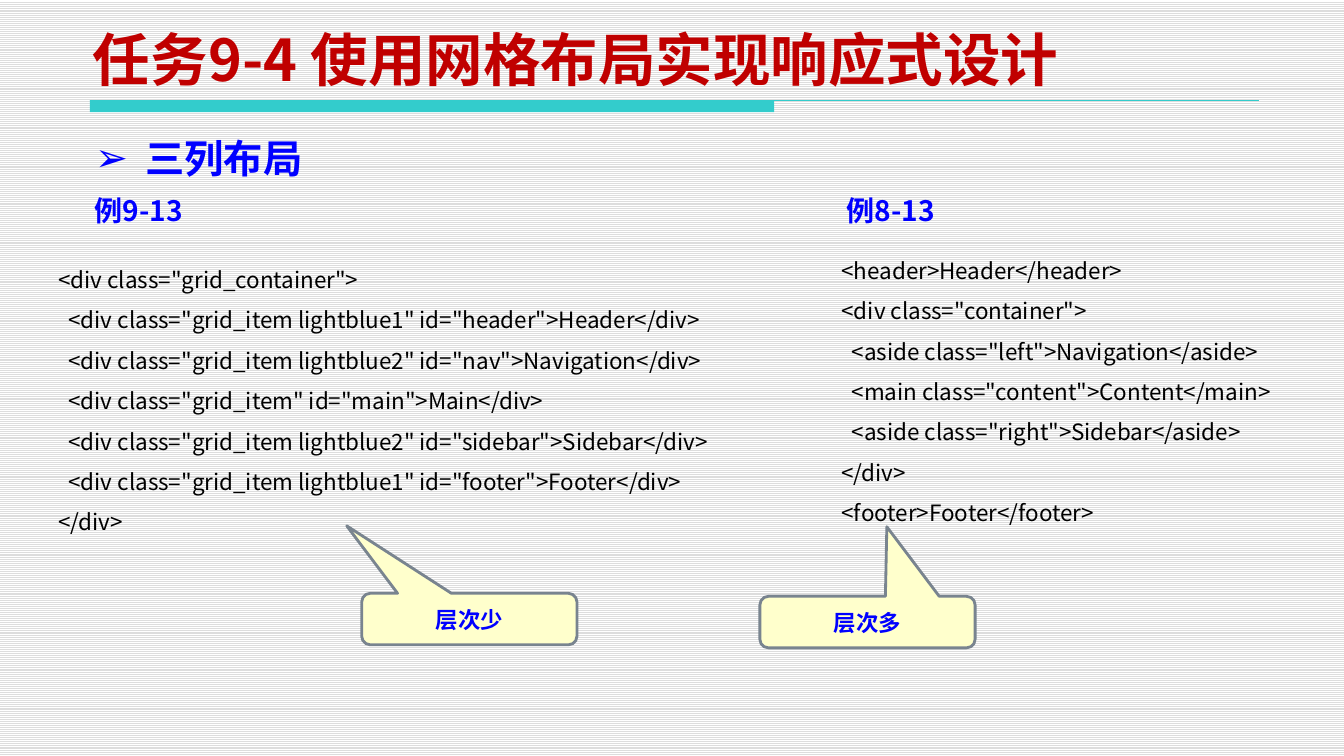
import pptx
import pptx.dml.color
import pptx.enum.dml
import pptx.enum.shapes
import pptx.enum.text
import pptx.oxml.ns
import pptx.util
import lxml.etree

COLOURS = {"title": "C00000", "accent": "0000FF", "code": "000000", "band": "33CCCC",
           "callout": "FFFFCC", "outline": "79848F", "stripe": "DDDDDD", "paper": "FFFFFF"}
FONT = "Noto Sans CJK SC"
CELL = 0.1  # inches per column and per row; the slide has 133 columns

GRID_CODE = [
    (0, '<div class="grid_container">'),
    (1, '<div class="grid_item lightblue1" id="header">Header</div>'),
    (1, '<div class="grid_item lightblue2" id="nav">Navigation</div>'),
    (1, '<div class="grid_item" id="main">Main</div>'),
    (1, '<div class="grid_item lightblue2" id="sidebar">Sidebar</div>'),
    (1, '<div class="grid_item lightblue1" id="footer">Footer</div>'),
    (0, '</div>'),
]
FLOAT_CODE = [
    (0, '<header>Header</header>'),
    (0, '<div class="container">'),
    (1, '<aside class="left">Navigation</aside>'),
    (1, '<main class="content">Content</main>'),
    (1, '<aside class="right">Sidebar</aside>'),
    (0, '</div>'),
    (0, '<footer>Footer</footer>'),
]


def cells(count):
    return pptx.util.Inches(count * CELL)


def colour(name):
    return pptx.dml.color.RGBColor.from_string(COLOURS[name])


def add_element(parent, tag, **attributes):
    return lxml.etree.SubElement(parent, pptx.oxml.ns.qn(tag), **attributes)


class Page:
    def __init__(self, deck):
        self.slide = deck.slides.add_slide(deck.slide_layouts[1])
        self.shapes = self.slide.shapes
        fill = self.slide.background.fill
        fill.patterned()
        fill.pattern = pptx.enum.dml.MSO_PATTERN.LIGHT_HORIZONTAL
        fill.fore_color.rgb = colour("stripe")
        fill.back_color.rgb = colour("paper")

    def span(self, para, text, size, ink, bold=True, font=FONT):
        run = para.add_run()
        run.text = text
        run.font.size = pptx.util.Pt(size)
        run.font.bold = bold
        run.font.color.rgb = colour(ink)
        run.font.name = font
        add_element(run.font._element, "a:ea", typeface=FONT)

    def place(self, box, left, top, width, height):
        """Move a text holder onto the grid and return its first paragraph."""
        box.left, box.top = cells(left), cells(top)
        box.width, box.height = cells(width), cells(height)
        frame = box.text_frame
        frame.word_wrap = True
        frame.auto_size = pptx.enum.text.MSO_AUTO_SIZE.NONE
        para = frame.paragraphs[0]
        para.alignment = pptx.enum.text.PP_ALIGN.LEFT
        para.space_before = pptx.util.Pt(0)
        return para

    def title(self, text, *area):
        box = self.shapes.title
        para = self.place(box, *area)
        box.text_frame.vertical_anchor = pptx.enum.text.MSO_ANCHOR.BOTTOM
        self.span(para, text, 41, "title")

    def topic(self, text, *area):
        """Fill the body placeholder with one arrow-bulleted line."""
        para = self.place(self.slide.placeholders[1], *area)
        properties = para._p.get_or_add_pPr()
        properties.set("marL", str(cells(5)))
        properties.set("indent", str(cells(-5)))
        add_element(properties, "a:buChar", char="➢")
        self.span(para, text, 28, "accent")

    def text_box(self, *area):
        box = self.shapes.add_textbox(0, 0, 0, 0)
        return box.text_frame, self.place(box, *area)

    def label(self, text, *area):
        para = self.text_box(*area)[1]
        self.span(para, text, 20, "accent")

    def code(self, lines, first_spacing, *area):
        frame, para = self.text_box(*area)
        for number, (level, text) in enumerate(lines):
            if number:
                para = frame.add_paragraph()
            para.line_spacing = 1.5 if number else first_spacing
            para._p.get_or_add_pPr().set("marL", str(cells(level)))
            self.span(para, text, 16, "code", bold=False)

    def panel(self, kind, fill, left, top, width, height):
        shape = self.shapes.add_shape(kind, cells(left), cells(top), cells(width), cells(height))
        shape.shadow.inherit = False
        shape.fill.solid()
        shape.fill.fore_color.rgb = colour(fill)
        return shape

    def title_rule(self, left, middle, right, top, thickness):
        """Draw a thick band that runs on as a thin line."""
        band = self.panel(pptx.enum.shapes.MSO_SHAPE.RECTANGLE, "band",
                          left, top, middle - left, thickness)
        band.line.fill.background()
        line = self.shapes.add_connector(pptx.enum.shapes.MSO_CONNECTOR.STRAIGHT,
                                         cells(left), cells(top), cells(right), cells(top))
        line.line.color.rgb = colour("band")
        line.line.width = pptx.util.Pt(0.75)
        add_element(line._element.spPr, "a:effectLst")

    def callout(self, text, tip, *area):
        shape = self.panel(pptx.enum.shapes.MSO_SHAPE.ROUNDED_RECTANGULAR_CALLOUT,
                           "callout", *area)
        shape.adjustments[0], shape.adjustments[1] = tip
        shape.line.color.rgb = colour("outline")
        shape.line.width = pptx.util.Pt(2)
        frame = shape.text_frame
        frame.vertical_anchor = pptx.enum.text.MSO_ANCHOR.MIDDLE
        para = frame.paragraphs[0]
        para.alignment = pptx.enum.text.PP_ALIGN.CENTER
        self.span(para, text, 16, "accent", font="DejaVu Sans")


def main():
    deck = pptx.Presentation()
    deck.slide_width = pptx.util.Inches(13.3)
    deck.slide_height = pptx.util.Inches(7.48)
    page = Page(deck)
    page.title_rule(8.9, 76.6, 124.6, 9.9, 1.2)
    page.title("任务9-4 使用网格布局实现响应式设计", 8.2, 2.8, 112.2, 6.9)
    page.topic("三列布局", 8.4, 12.8, 40.8, 5.8)
    page.label("例9-13", 8.4, 18.6, 11.9, 4.4)
    page.label("例8-13", 82.8, 18.6, 11.9, 4.4)
    page.code(GRID_CODE, 1.5, 4.8, 24.5, 75.1, 29.1)
    page.code(FLOAT_CODE, 1.2, 82.3, 24.4, 50.6, 28.3)
    page.callout("层次少", (-0.57, -1.81), 35.8, 58.7, 21.3, 5.1)
    page.callout("层次多", (0.09, -1.85), 75.2, 59, 21.3, 5.1)
    deck.save("out.pptx")


if __name__ == "__main__":
    main()
